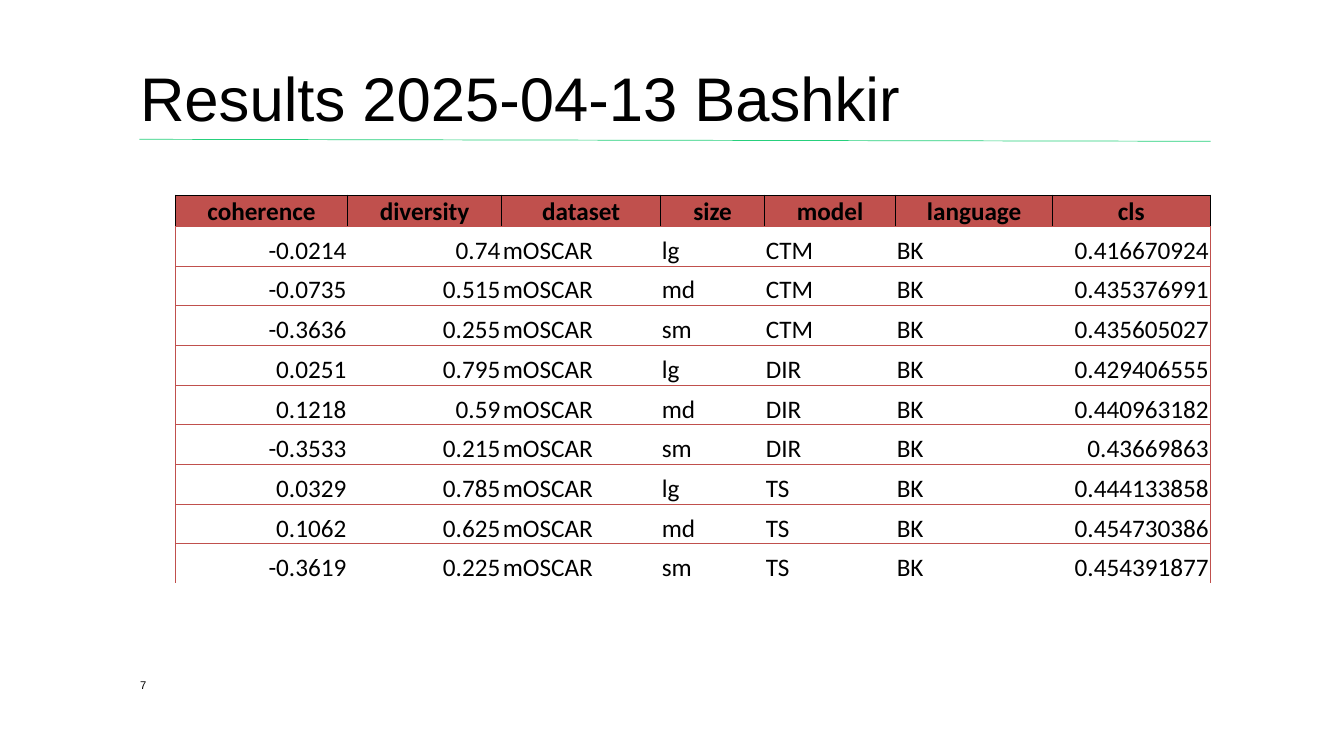
from dataclasses import dataclass

from lxml.etree import SubElement
from pptx import Presentation
from pptx.dml.color import RGBColor
from pptx.enum.shapes import MSO_CONNECTOR
from pptx.enum.text import MSO_ANCHOR, PP_ALIGN
from pptx.oxml.ns import qn
from pptx.slide import Slide
from pptx.table import _Cell
from pptx.text.text import _Paragraph
from pptx.util import Cm, Pt


@dataclass(frozen=True)
class Theme:
    black: str = "000000"
    red: str = "C0504D"
    green: str = "26D07C"
    text_font: str = "Arial"
    table_font: str = "Calibri"
    title_size: float = 44
    table_size: float = 18
    number_size: float = 8
    line_width: float = 0.5


@dataclass(frozen=True)
class Label:
    text: str
    left: float
    top: float
    width: float
    height: float
    size: float
    line_spacing: float = 1.0


@dataclass(frozen=True)
class Column:
    name: str
    width: float
    align: PP_ALIGN = PP_ALIGN.LEFT


@dataclass(frozen=True)
class Result:
    coherence: str
    diversity: str
    size: str
    model: str
    score: str

    def cells(self) -> tuple[str, ...]:
        return (self.coherence, self.diversity, "mOSCAR", self.size,
                self.model, "BK", self.score)


THEME = Theme()
NO_STYLE = "{2D5ABB26-0587-4C30-8999-92F81FD0307C}"
TABLE_LEFT, TABLE_TOP = 4.42, 4.91
HEADER_HEIGHT, ROW_HEIGHT = 0.79, 1.0

LABELS = [
    Label("Results 2025-04-13 Bashkir", 3.53, 1.02, 26.97, 2.39, THEME.title_size, 0.9),
    Label("7", 3.53, 16.76, 1.27, 0.66, THEME.number_size),
]
COLUMNS = [
    Column("coherence", 4.34, PP_ALIGN.RIGHT),
    Column("diversity", 3.88, PP_ALIGN.RIGHT),
    Column("dataset", 4.01),
    Column("size", 2.62),
    Column("model", 3.3),
    Column("language", 3.96),
    Column("cls", 3.96, PP_ALIGN.RIGHT),
]
RESULTS = [
    Result("-0.0214", "0.74", "lg", "CTM", "0.416670924"),
    Result("-0.0735", "0.515", "md", "CTM", "0.435376991"),
    Result("-0.3636", "0.255", "sm", "CTM", "0.435605027"),
    Result("0.0251", "0.795", "lg", "DIR", "0.429406555"),
    Result("0.1218", "0.59", "md", "DIR", "0.440963182"),
    Result("-0.3533", "0.215", "sm", "DIR", "0.43669863"),
    Result("0.0329", "0.785", "lg", "TS", "0.444133858"),
    Result("0.1062", "0.625", "md", "TS", "0.454730386"),
    Result("-0.3619", "0.225", "sm", "TS", "0.454391877"),
]


def add_span(para: _Paragraph, text: str, font: str, size: float, bold: bool = False) -> None:
    span = para.add_run()
    span.text = text
    span.font.name = font
    span.font.size = Pt(size)
    span.font.bold = bold
    span.font.color.rgb = RGBColor.from_string(THEME.black)


def add_label(page: Slide, label: Label) -> None:
    box = page.shapes.add_textbox(Cm(label.left), Cm(label.top), Cm(label.width), Cm(label.height))
    frame = box.text_frame
    frame.word_wrap = True
    frame.vertical_anchor = MSO_ANCHOR.BOTTOM
    frame.margin_left = frame.margin_right = frame.margin_top = frame.margin_bottom = 0
    para = frame.paragraphs[0]
    para.line_spacing = label.line_spacing
    add_span(para, label.text, THEME.text_font, label.size)


def add_title_rule(page: Slide) -> None:
    rule = page.shapes.add_connector(
        MSO_CONNECTOR.STRAIGHT, Cm(3.51), Cm(3.51), Cm(30.51), Cm(3.56))
    rule.line.color.rgb = RGBColor.from_string(THEME.green)
    rule.line.width = Pt(THEME.line_width)
    SubElement(rule._element.spPr, qn("a:effectLst"))


def set_borders(cell: _Cell, colors: dict[str, str]) -> None:
    """Draw the named sides; sides must come in the order L, R, T, B, before any fill."""
    properties = cell._tc.get_or_add_tcPr()
    for side, color in colors.items():
        line = SubElement(properties, qn(f"a:ln{side}"), w=str(Pt(THEME.line_width)))
        fill = SubElement(line, qn("a:solidFill"))
        SubElement(fill, qn("a:srgbClr"), val=color)


def fill_cell(cell: _Cell, text: str, align: PP_ALIGN, bold: bool = False) -> None:
    cell.margin_left = cell.margin_right = cell.margin_top = Cm(0.03)
    cell.margin_bottom = 0
    para = cell.text_frame.paragraphs[0]
    para.alignment = align
    add_span(para, text, THEME.table_font, THEME.table_size, bold)


def body_borders(row: int, column: int) -> dict[str, str]:
    """Frame the body at its sides and rule between rows, leaving the bottom open."""
    shown = {"L": column == 0, "R": column == len(COLUMNS) - 1,
             "T": True, "B": row < len(RESULTS)}
    return {side: THEME.red for side, visible in shown.items() if visible}


def add_results_table(page: Slide) -> None:
    width = sum(column.width for column in COLUMNS)
    height = HEADER_HEIGHT + ROW_HEIGHT * len(RESULTS)
    table = page.shapes.add_table(
        len(RESULTS) + 1, len(COLUMNS),
        Cm(TABLE_LEFT), Cm(TABLE_TOP), Cm(width), Cm(height)).table
    table.horz_banding = False
    table._tbl.tblPr.find(qn("a:tableStyleId")).text = NO_STYLE
    for row in table.rows:
        row.height = Cm(ROW_HEIGHT)
    table.rows[0].height = Cm(HEADER_HEIGHT)

    header_borders = dict.fromkeys("LRT", THEME.black) | {"B": THEME.red}
    for index, column in enumerate(COLUMNS):
        table.columns[index].width = Cm(column.width)
        cell = table.cell(0, index)
        set_borders(cell, header_borders)
        cell.fill.solid()
        cell.fill.fore_color.rgb = RGBColor.from_string(THEME.red)
        fill_cell(cell, column.name, PP_ALIGN.CENTER, bold=True)

    for row, result in enumerate(RESULTS, start=1):
        for index, (column, text) in enumerate(zip(COLUMNS, result.cells())):
            cell = table.cell(row, index)
            set_borders(cell, body_borders(row, index))
            cell.fill.background()
            cell.vertical_anchor = MSO_ANCHOR.BOTTOM
            fill_cell(cell, text, column.align)


def main() -> None:
    deck = Presentation()
    deck.slide_width, deck.slide_height = Cm(33.87), Cm(19.05)
    page = deck.slides.add_slide(deck.slide_layouts[6])
    add_title_rule(page)
    for label in LABELS:
        add_label(page, label)
    add_results_table(page)
    deck.save("out.pptx")


if __name__ == "__main__":
    main()
